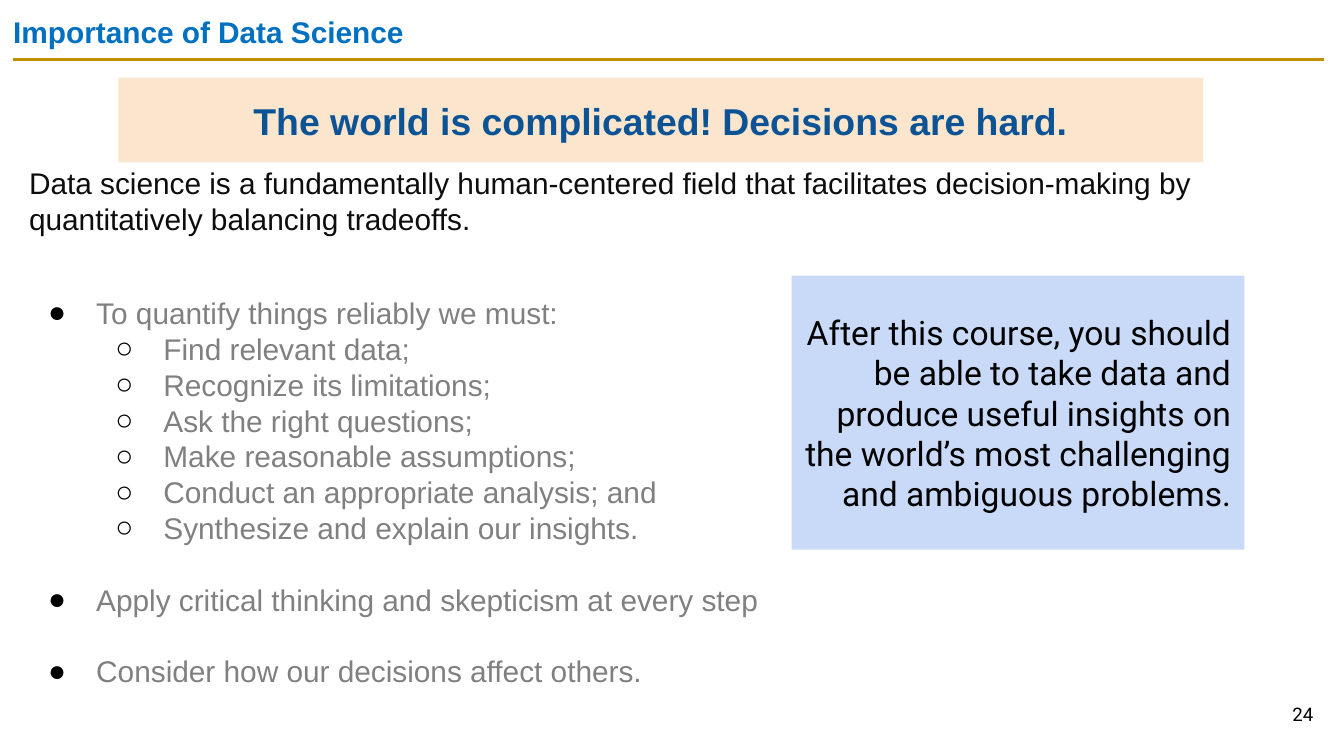
from dataclasses import dataclass

from lxml.etree import SubElement
from pptx import Presentation
from pptx.dml.color import RGBColor
from pptx.enum.shapes import MSO_CONNECTOR, MSO_SHAPE
from pptx.enum.text import MSO_ANCHOR, MSO_AUTO_SIZE, PP_ALIGN
from pptx.oxml.ns import qn
from pptx.util import Cm, Pt


@dataclass(frozen=True)
class Theme:
    title: str = "0070C0"
    rule: str = "BF9000"
    body: str = "0D0D0D"
    muted: str = "808080"
    black: str = "000000"
    banner_text: str = "0B5394"
    banner_fill: str = "FCE5CD"
    outcome_fill: str = "C9DAF8"
    text_size: int = 16
    banner_size: int = 20
    outcome_size: int = 18
    number_size: int = 10


theme = Theme()


def prepare_frame(shape, anchor):
    """Give the shape's text frame equal insets, wrapping and a fixed size."""
    frame = shape.text_frame
    settings = {
        "word_wrap": True, "auto_size": MSO_AUTO_SIZE.NONE, "vertical_anchor": anchor,
        "margin_left": Cm(0.25), "margin_right": Cm(0.25),
        "margin_top": Cm(0.25), "margin_bottom": Cm(0.25),
    }
    for name, value in settings.items():
        setattr(frame, name, value)
    return frame


def write(paragraph, text, size, color, font="Arial", bold=False, **layout):
    """Add one formatted run; layout holds paragraph attributes."""
    for name, value in layout.items():
        setattr(paragraph, name, value)
    run = paragraph.add_run()
    run.text = text
    for name, value in {"name": font, "size": Pt(size), "bold": bold}.items():
        setattr(run.font, name, value)
    run.font.color.rgb = RGBColor.from_string(color)


presentation = Presentation()
presentation.slide_width, presentation.slide_height = Cm(25.4), Cm(14.29)
slide = presentation.slides.add_slide(presentation.slide_layouts[5])
shapes = slide.shapes

# Title and the rule below it
rule = shapes.add_connector(MSO_CONNECTOR.STRAIGHT, Cm(0.25), Cm(1.12), Cm(25.02), Cm(1.12))
rule.line.color.rgb = RGBColor.from_string(theme.rule)
rule.line.width = Pt(1.5)
SubElement(rule._element.spPr, qn("a:effectLst"))

title = shapes.title
title_place = {"left": Cm(0), "top": Cm(0), "width": Cm(23.67), "height": Cm(1.09)}
for name, value in title_place.items():
    setattr(title, name, value)
frame = prepare_frame(title, MSO_ANCHOR.TOP)
write(frame.paragraphs[0], "Importance of Data Science", theme.text_size, theme.title,
      bold=True, alignment=PP_ALIGN.LEFT)

# Introduction and bullets: level (None for plain text), space before, text
line_height = 19.2
body_lines = [
    (None, 0, "Data science is a fundamentally human-centered field that facilitates "
              "decision-making by quantitatively balancing tradeoffs."),
    (0, line_height + 12, "To quantify things reliably we must:"),
    (1, 0, "Find relevant data;"),
    (1, 0, "Recognize its limitations;"),
    (1, 0, "Ask the right questions;"),
    (1, 0, "Make reasonable assumptions;"),
    (1, 0, "Conduct an appropriate analysis; and"),
    (1, 0, "Synthesize and explain our insights."),
    (0, line_height, "Apply critical thinking and skepticism at every step"),
    (0, line_height, "Consider how our decisions affect others."),
]
body = shapes.add_textbox(Cm(0.3), Cm(2.87), Cm(23.67), Cm(7.72))
frame = prepare_frame(body, MSO_ANCHOR.TOP)
for index, (level, space, text) in enumerate(body_lines):
    paragraph = frame.add_paragraph() if index else frame.paragraphs[0]
    color = theme.body
    if level is not None:
        color = theme.muted
        paragraph.level = level
        properties = paragraph._p.get_or_add_pPr()
        properties.set("marL", str(Cm(1.27 * (level + 1))))
        properties.set("indent", str(Cm(-0.91)))
        bullet_color = SubElement(properties, qn("a:buClr"))
        SubElement(bullet_color, qn("a:srgbClr"), val=theme.black)
        SubElement(properties, qn("a:buFont"), typeface="Arial")
        SubElement(properties, qn("a:buChar"), char="●○"[level])
    write(paragraph, text, theme.text_size, color,
          line_spacing=Pt(line_height), space_before=Pt(space))

# Slide number
number = shapes.add_textbox(Cm(23.55), Cm(12.95), Cm(1.52), Cm(1.09))
frame = prepare_frame(number, MSO_ANCHOR.MIDDLE)
write(frame.paragraphs[0], "24", theme.number_size, theme.black, "Roboto",
      alignment=PP_ALIGN.RIGHT)

# Filled panels: place, fill, text, text format
panels = [
    ((2.24, 1.47, 20.5, 1.6), theme.banner_fill,
     "The world is complicated! Decisions are hard.",
     {"size": theme.banner_size, "color": theme.banner_text, "bold": True,
      "alignment": PP_ALIGN.CENTER}),
    ((14.96, 5.21, 8.56, 5.18), theme.outcome_fill,
     "After this course, you should be able to take data and produce useful insights "
     "on the world’s most challenging and ambiguous problems.",
     {"size": theme.outcome_size, "color": theme.black, "font": "Roboto",
      "alignment": PP_ALIGN.RIGHT, "line_spacing": Pt(21.6)}),
]
for place, fill, text, text_format in panels:
    panel = shapes.add_shape(MSO_SHAPE.RECTANGLE, *map(Cm, place))
    panel.shadow.inherit = False
    panel.fill.solid()
    panel.fill.fore_color.rgb = RGBColor.from_string(fill)
    panel.line.fill.background()
    frame = prepare_frame(panel, MSO_ANCHOR.MIDDLE)
    write(frame.paragraphs[0], text, **text_format)

presentation.save("out.pptx")
